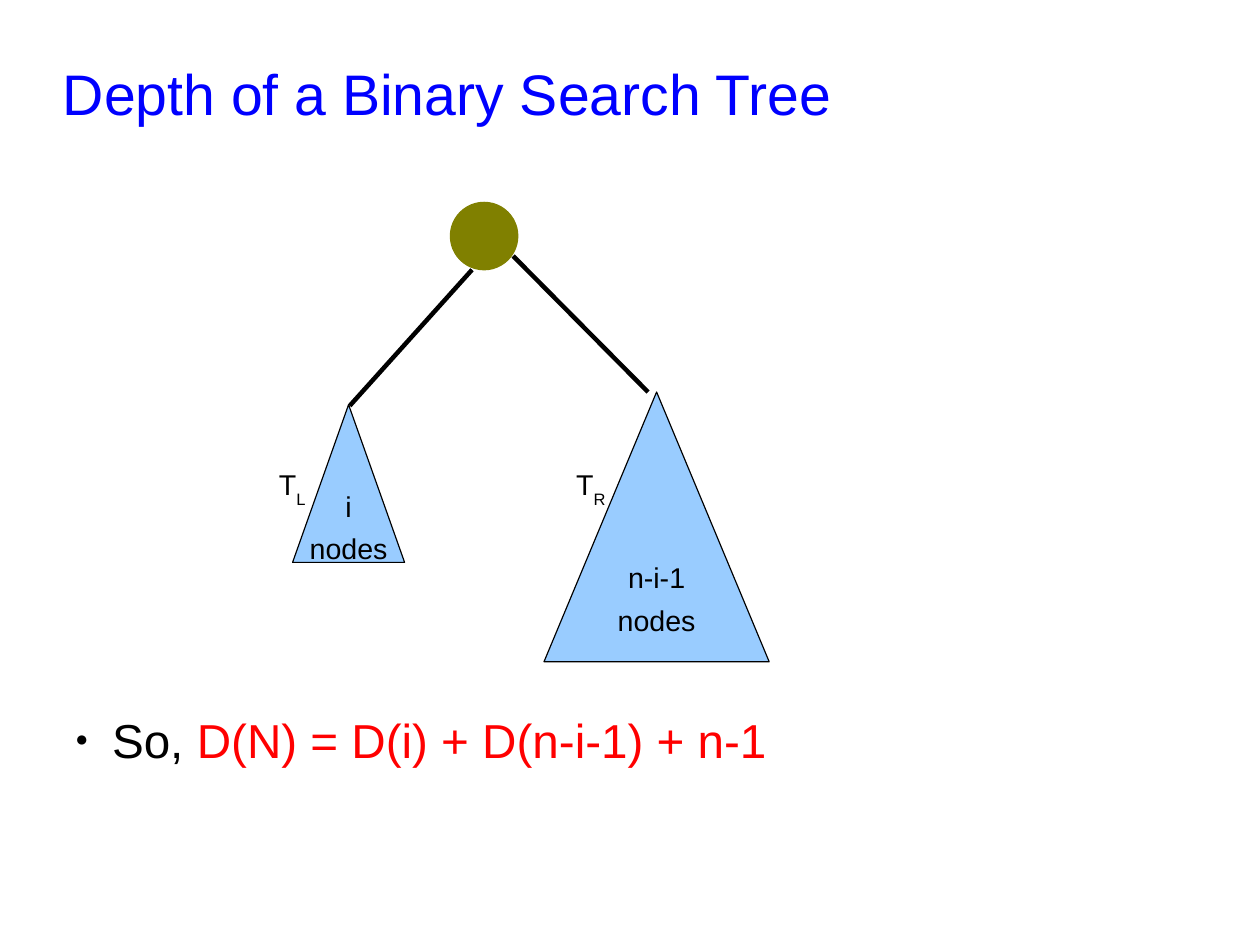
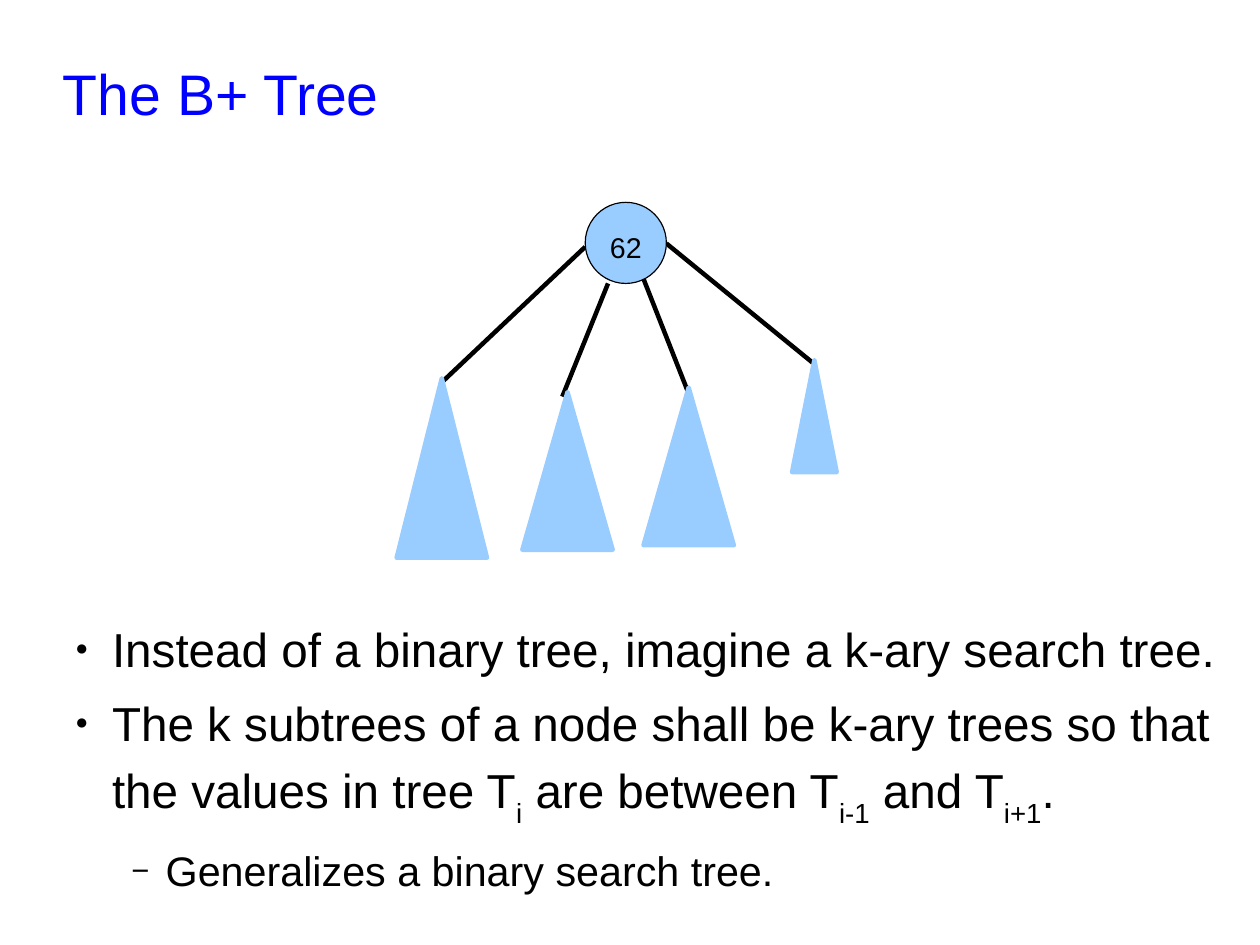
from lxml import etree
from pptx import Presentation
from pptx.dml.color import RGBColor
from pptx.enum.shapes import MSO_CONNECTOR, MSO_SHAPE
from pptx.enum.text import MSO_ANCHOR, MSO_AUTO_SIZE, PP_ALIGN
from pptx.oxml.ns import qn
from pptx.util import Inches, Pt

BLACK = RGBColor(0x00, 0x00, 0x00)
BLUE = RGBColor(0x00, 0x00, 0xFF)
RED = RGBColor(0xFF, 0x00, 0x00)
SKY = RGBColor(0x99, 0xCC, 0xFF)
OLIVE = RGBColor(0x80, 0x80, 0x00)
FONT = "Arial"
SPACING = 1.24
THIN, THICK = 0.74, 2.83
CIRCLE, TRIANGLE = MSO_SHAPE.OVAL, MSO_SHAPE.ISOSCELES_TRIANGLE

# Per list level: left edge, hanging indent, size, space after, bullet, bullet size
LEVELS = [
    (0.44, -0.32, 30, 5.8, "\u25cf", 45),
    (0.91, -0.30, 26, 2.9, "\u2212", 75),
]

# Runs are (text, style); style is None, "sub" or a colour.
# Nodes are (shape, box, fill, line, line width, text lines).
SLIDES = [
    {
        "title": "Depth of a Binary Search Tree",
        "body_box": (0.54, 6.1, 9.89, 1.57),
        "body_spacing": 1.24,
        "body": [(0, [("So, ", None), ("D(N) = D(i) + D(n-i-1) + n-1", RED)])],
        "edges": [(3.06, 3.55, 4.13, 2.36), (4.49, 2.24, 5.67, 3.43)],
        "nodes": [
            (TRIANGLE, (2.56, 3.54, 0.98, 1.38), SKY, BLACK, THIN, ["i", "nodes"]),
            (TRIANGLE, (4.76, 3.43, 1.97, 2.36), SKY, BLACK, THIN, ["n-i-1", "nodes"]),
            (CIRCLE, (3.94, 1.77, 0.59, 0.59), OLIVE, OLIVE, THIN, []),
        ],
        "labels": [("L", (2.32, 3.93, 0.48, 0.57)), ("R", (4.92, 3.93, 0.51, 0.57))],
    },
    {
        "title": "The B+ Tree",
        "body_box": (0.54, 5.35, 10.28, 2.68),
        "body_spacing": 1.14,
        "body": [
            (0, [("Instead of a binary tree, imagine a k-ary search tree.", None)]),
            (0, [("The k subtrees of a node shall be k-ary trees so that "
                  "the values in tree T", None), ("i", "sub"),
                 (" are between T", None), ("i-1", "sub"),
                 (" and T", None), ("i+1", "sub"), (".", None)]),
            (1, [("Generalizes a binary search tree.", None)]),
        ],
        "edges": [(3.86, 3.35, 5.12, 2.16), (5.32, 2.48, 4.92, 3.47),
                  (5.83, 2.13, 7.13, 3.19), (5.63, 2.44, 6.02, 3.43)],
        "nodes": [(CIRCLE, (5.12, 1.77, 0.71, 0.71), SKY, BLACK, THIN, ["62"])] + [
            (TRIANGLE, box, SKY, SKY, THICK, [])
            for box in [(3.47, 3.31, 0.79, 1.57), (4.57, 3.43, 0.79, 1.38),
                        (5.63, 3.39, 0.79, 1.38), (6.93, 3.15, 0.39, 0.98)]
        ],
        "labels": [],
    },
]


def write(p, runs, size, align=PP_ALIGN.LEFT, spacing=SPACING, after=0):
    """Fill a paragraph with styled runs."""
    p.alignment = align
    p.line_spacing = spacing
    p.space_before = Pt(0)
    p.space_after = Pt(after)
    for text, style in runs:
        r = p.add_run()
        r.text = text
        r.font.name = FONT
        r.font.size = Pt(size)
        r.font.color.rgb = style if isinstance(style, RGBColor) else BLACK
        if style == "sub":
            r.font._element.set("baseline", "-33000")


def set_frame(tf, inset_x=0, inset_y=0, anchor=MSO_ANCHOR.TOP, wrap=True):
    """Set the insets, anchor and wrapping of a text frame."""
    tf.margin_left = tf.margin_right = Inches(inset_x)
    tf.margin_top = tf.margin_bottom = Inches(inset_y)
    tf.vertical_anchor = anchor
    tf.word_wrap = wrap
    tf.auto_size = MSO_AUTO_SIZE.NONE


# The page is 28 by 21 cm
prs = Presentation()
prs.slide_width, prs.slide_height = Inches(28 / 2.54), Inches(21 / 2.54)

for content in SLIDES:
    s = prs.slides.add_slide(prs.slide_layouts[1])

    # Title and body placeholders
    title, body = s.shapes.title, s.placeholders[1]
    for sp, box in ((title, (0.55, 0.37, 9.89, 0.74)), (body, content["body_box"])):
        sp.left, sp.top, sp.width, sp.height = map(Inches, box)
    set_frame(title.text_frame, anchor=MSO_ANCHOR.MIDDLE)
    write(title.text_frame.paragraphs[0], [(content["title"], BLUE)], 36)

    # Bulleted list
    tf = body.text_frame
    set_frame(tf)
    for i, (level, runs) in enumerate(content["body"]):
        left, hanging, size, after, bullet, percent = LEVELS[level]
        p = tf.add_paragraph() if i else tf.paragraphs[0]
        p.level = level
        write(p, runs, size, spacing=content["body_spacing"], after=after)
        pPr = p._p.get_or_add_pPr()
        pPr.set("marL", str(Inches(left)))
        pPr.set("indent", str(Inches(hanging)))
        color = etree.SubElement(pPr, qn("a:buClr"))
        etree.SubElement(color, qn("a:srgbClr"), val=str(BLACK))
        etree.SubElement(pPr, qn("a:buSzPct"), val=str(percent * 1000))
        etree.SubElement(pPr, qn("a:buChar"), char=bullet)

    # Tree edges
    for ends in content["edges"]:
        edge = s.shapes.add_connector(MSO_CONNECTOR.STRAIGHT, *map(Inches, ends))
        edge.line.color.rgb = BLACK
        edge.line.width = Pt(THICK)
        etree.SubElement(edge._element.spPr, qn("a:effectLst"))

    # Root and subtrees
    for kind, box, fill, line, width, lines in content["nodes"]:
        sp = s.shapes.add_shape(kind, *map(Inches, box))
        sp.shadow.inherit = False
        sp.fill.solid()
        sp.fill.fore_color.rgb = fill
        sp.line.color.rgb = line
        sp.line.width = Pt(width)
        tf = sp.text_frame
        set_frame(tf, 0.1, 0.05, MSO_ANCHOR.MIDDLE, wrap=False)
        for i, text in enumerate(lines):
            p = tf.add_paragraph() if i else tf.paragraphs[0]
            write(p, [(text, None)], 18, PP_ALIGN.CENTER)

    # Subtree labels
    for side, box in content["labels"]:
        tf = s.shapes.add_textbox(*map(Inches, box)).text_frame
        set_frame(tf, 0.12, 0.07, wrap=False)
        write(tf.paragraphs[0], [("T", None), (side, "sub")], 18)

prs.save("out.pptx")
